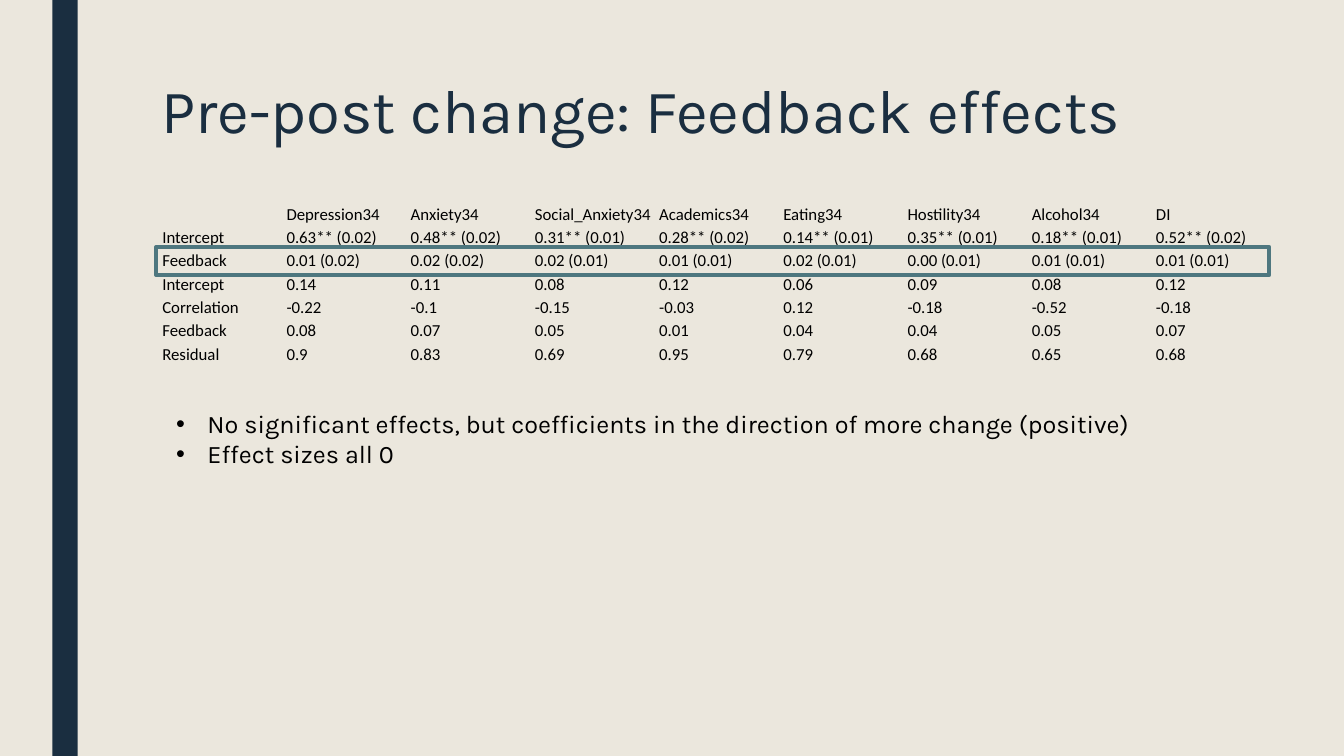
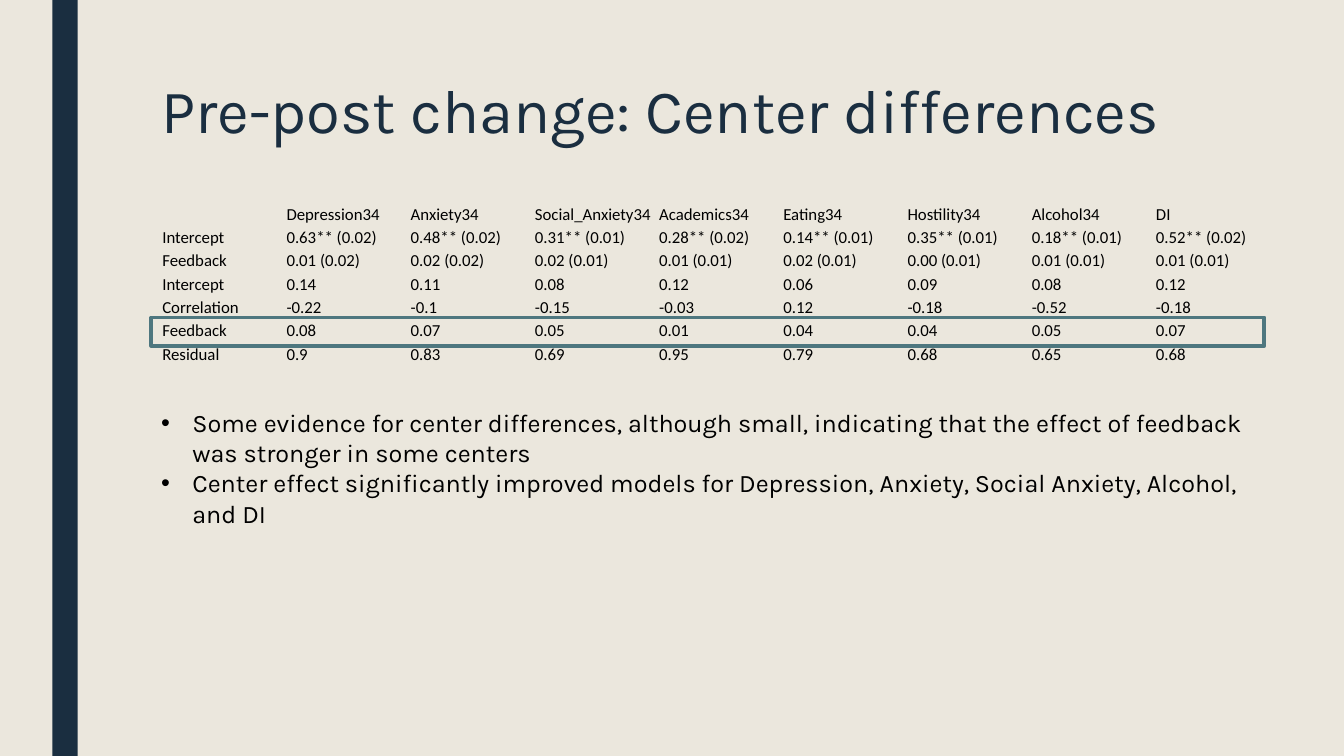
from dataclasses import dataclass

from lxml.etree import SubElement
from pptx import Presentation
from pptx.dml.color import RGBColor
from pptx.enum.shapes import MSO_SHAPE
from pptx.enum.text import MSO_ANCHOR, MSO_AUTO_SIZE, PP_ALIGN
from pptx.oxml.ns import qn
from pptx.slide import Slide
from pptx.util import Inches, Pt

SAND = RGBColor(0xEB, 0xE7, 0xDD)
NAVY = RGBColor(0x1A, 0x2E, 0x40)
TEAL = RGBColor(0x4E, 0x77, 0x7F)
BLACK = RGBColor(0, 0, 0)

HEAD = {"name": "Karla", "size": Pt(44), "color": NAVY}
BODY = {"name": "Karla", "size": Pt(18), "color": BLACK}
CELL = {"name": "Calibri", "size": Pt(12), "color": BLACK}
INSET = {
    "margin_left": Inches(0.01),
    "margin_right": Inches(0.01),
    "margin_top": Inches(0.01),
    "margin_bottom": 0,
    "vertical_anchor": MSO_ANCHOR.BOTTOM,
}
PLAIN = "{2D5ABB26-0587-4C30-8999-92F81FD0307C}"  # table style without grid

ROWS = [
    ["", "Depression34", "Anxiety34", "Social_Anxiety34", "Academics34",
     "Eating34", "Hostility34", "Alcohol34", "DI"],
    ["Intercept", "0.63** (0.02)", "0.48** (0.02)", "0.31** (0.01)", "0.28** (0.02)",
     "0.14** (0.01)", "0.35** (0.01)", "0.18** (0.01)", "0.52** (0.02)"],
    ["Feedback", "0.01 (0.02)", "0.02 (0.02)", "0.02 (0.01)", "0.01 (0.01)",
     "0.02 (0.01)", "0.00 (0.01)", "0.01 (0.01)", "0.01 (0.01)"],
    ["Intercept", "0.14", "0.11", "0.08", "0.12", "0.06", "0.09", "0.08", "0.12"],
    ["Correlation", "-0.22", "-0.1", "-0.15", "-0.03", "0.12", "-0.18", "-0.52", "-0.18"],
    ["Feedback", "0.08", "0.07", "0.05", "0.01", "0.04", "0.04", "0.05", "0.07"],
    ["Residual", "0.9", "0.83", "0.69", "0.95", "0.79", "0.68", "0.65", "0.68"],
]


@dataclass(frozen=True)
class Box:
    left: float
    top: float
    width: float
    height: float

    def size(self) -> tuple:
        return tuple(Inches(v) for v in (self.left, self.top, self.width, self.height))


@dataclass(frozen=True)
class Page:
    title: str
    frame: Box  # outline around the discussed row
    notes: Box
    points: tuple[str, ...]


BAR = Box(0.52, 0, 0.25, 7.5)
TITLE = Box(1.5, 0.75, 10.5, 1.05)
GRID = Box(1.6, 1.8, 11.09, 1.82)
TOP_ROW = 0.43

PAGES = [
    Page("Pre-post change: Feedback effects",
         Box(1.55, 2.45, 11.04, 0.28), Box(1.65, 4, 10.94, 0.71),
         ("No significant effects, but coefficients in the direction of more change (positive)",
          "Effect sizes all 0")),
    Page("Pre-post change: Center differences",
         Box(1.5, 3.15, 11.04, 0.28), Box(1.5, 3.99, 11.04, 1.01),
         ("Some evidence for center differences, although small, indicating that "
          "the effect of feedback was stronger in some centers",
          "Center effect significantly improved models for Depression, Anxiety, "
          "Social Anxiety, Alcohol, and DI")),
]


def style(font, look: dict) -> None:
    for key, value in look.items():
        if key == "color":
            font.color.rgb = value
        else:
            setattr(font, key, value)


def add_rect(slide: Slide, box: Box):
    rect = slide.shapes.add_shape(MSO_SHAPE.RECTANGLE, *box.size())
    rect.shadow.inherit = False
    return rect


def add_bar(slide: Slide) -> None:
    bar = add_rect(slide, BAR)
    bar.fill.solid()
    bar.fill.fore_color.rgb = NAVY
    bar.line.fill.background()


def set_title(slide: Slide, text: str) -> None:
    title = slide.shapes.title
    title.left, title.top, title.width, title.height = TITLE.size()
    frame = title.text_frame
    frame.text = text
    frame.word_wrap = True
    frame.auto_size = MSO_AUTO_SIZE.NONE
    frame.vertical_anchor = MSO_ANCHOR.TOP
    para = frame.paragraphs[0]
    para.alignment = PP_ALIGN.LEFT
    para.line_spacing = 0.89
    style(para.runs[0].font, HEAD)


def add_grid(slide: Slide) -> None:
    holder = slide.shapes.add_table(len(ROWS), len(ROWS[0]), *GRID.size())
    table = holder.table
    table.first_row = table.horz_banding = False
    for mark in holder.element.iter(qn("a:tableStyleId")):
        mark.text = PLAIN
    for col in table.columns:
        col.width = Inches(GRID.width / len(ROWS[0]))
    for i, row in enumerate(table.rows):
        rest = (GRID.height - TOP_ROW) / (len(ROWS) - 1)
        row.height = Inches(rest if i else TOP_ROW)
        for cell, text in zip(row.cells, ROWS[i]):
            cell.fill.background()
            for key, value in INSET.items():
                setattr(cell, key, value)
            cell.text = text
            style(cell.text_frame.paragraphs[0].font, CELL)
            for run in cell.text_frame.paragraphs[0].runs:
                style(run.font, CELL)


def add_frame(slide: Slide, box: Box) -> None:
    frame = add_rect(slide, box)
    frame.fill.background()
    frame.line.color.rgb = TEAL
    frame.line.width = Pt(2.75)


def add_notes(slide: Slide, box: Box, points: tuple[str, ...]) -> None:
    frame = slide.shapes.add_textbox(*box.size()).text_frame
    frame.word_wrap = True
    frame.auto_size = MSO_AUTO_SIZE.SHAPE_TO_FIT_TEXT
    frame.text = "\n".join(points)
    for para in frame.paragraphs:
        style(para.runs[0].font, BODY)
        # Hanging bullet
        props = para._p.get_or_add_pPr()
        props.set("marL", str(Inches(0.31)))
        props.set("indent", str(-Inches(0.31)))
        SubElement(props, qn("a:buFont")).set("typeface", "Arial")
        SubElement(props, qn("a:buChar")).set("char", "•")


def main() -> None:
    prs = Presentation()
    prs.slide_width, prs.slide_height = Inches(13.33), Inches(7.5)
    # Shared background
    back = prs.slide_master.background.fill
    back.solid()
    back.fore_color.rgb = SAND
    for page in PAGES:
        slide = prs.slides.add_slide(prs.slide_layouts.get_by_name("Title Only"))
        add_bar(slide)
        set_title(slide, page.title)
        add_grid(slide)
        add_frame(slide, page.frame)
        add_notes(slide, page.notes, page.points)
    prs.save("out.pptx")


if __name__ == "__main__":
    main()
